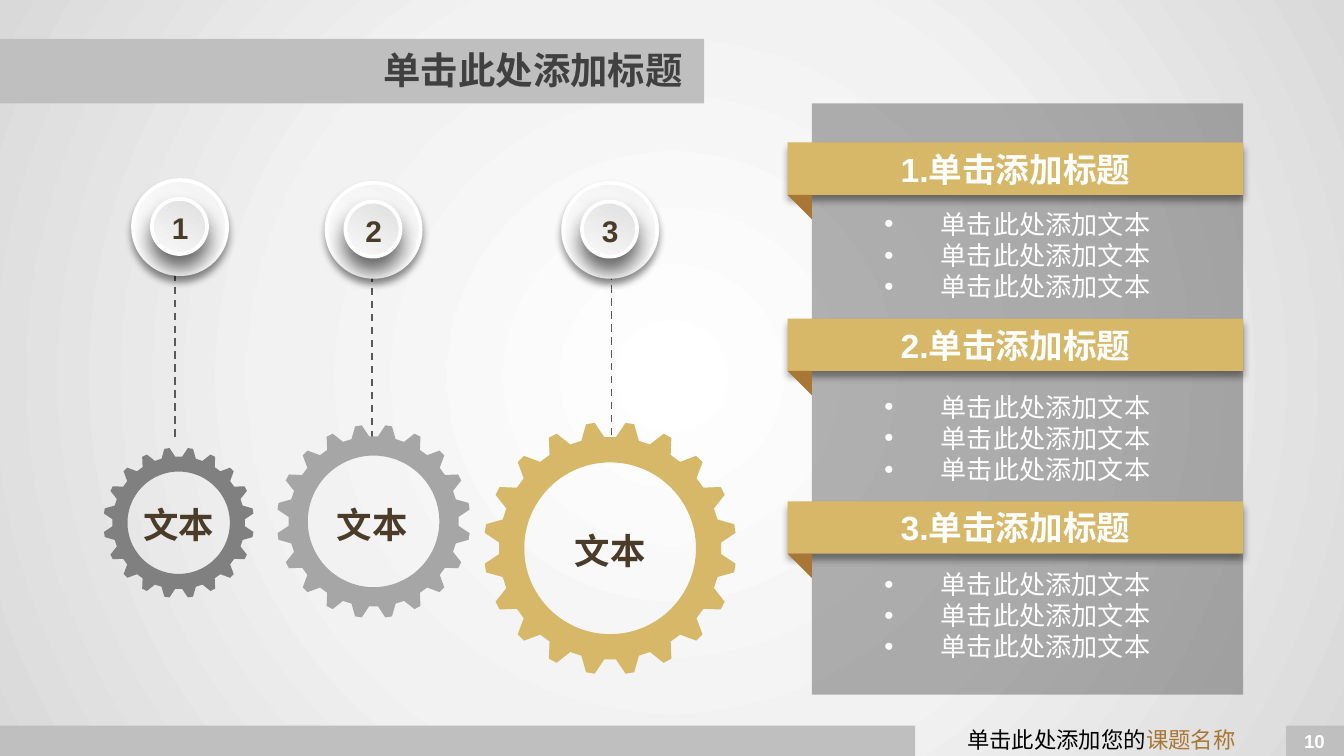
import math
from dataclasses import dataclass

import lxml.etree
import pptx
import pptx.dml.color
import pptx.enum.dml
import pptx.enum.shapes
import pptx.enum.text
import pptx.oxml
import pptx.oxml.ns
import pptx.util

Inches = pptx.util.Inches
RGBColor = pptx.dml.color.RGBColor
Shape = pptx.enum.shapes.MSO_SHAPE
Align = pptx.enum.text.PP_ALIGN
Anchor = pptx.enum.text.MSO_ANCHOR

WHITE = RGBColor(0xFF, 0xFF, 0xFF)
PALE = RGBColor(0xF2, 0xF2, 0xF2)
LIGHT = RGBColor(0xD9, 0xD9, 0xD9)
SILVER = RGBColor(0xBF, 0xBF, 0xBF)
GRAY = RGBColor(0xA6, 0xA6, 0xA6)
STEEL = RGBColor(0x80, 0x80, 0x80)
DASH = RGBColor(0x59, 0x59, 0x59)
CHARCOAL = RGBColor(0x40, 0x40, 0x40)
PANEL = RGBColor(0x26, 0x26, 0x26)
BLACK = RGBColor(0, 0, 0)
GOLD = RGBColor(0xD7, 0xB7, 0x68)
BRONZE = RGBColor(0xA8, 0x76, 0x35)
BROWN = RGBColor(0x4B, 0x3C, 0x29)

TEETH = 20
ROOT_RATIO = 0.88
HOLE_RATIO = 0.68
WIDE_INSETS = (0.13, 0.07)
RADIAL = '<a:path path="circle"><a:fillToRect l="50000" t="50000" r="50000" b="50000"/></a:path>'
DOWNWARD = '<a:lin ang="5400000" scaled="0"/>'


@dataclass
class Gear:
    x: float
    y: float
    radius: float
    color: RGBColor
    label_left: float
    label_top: float


@dataclass
class Badge:
    number: str
    left: float
    top: float
    line_x: float
    line_top: float


@dataclass
class Section:
    heading: str
    top: float
    list_top: float


GEARS = [
    Gear(1.33, 3.89, 0.56, STEEL, 0.86, 3.67),
    Gear(2.78, 3.88, 0.72, GRAY, 2.3, 3.67),
    Gear(4.54, 4.08, 0.94, GOLD, 4.07, 3.87),
]
BADGES = [
    Badge("1", 0.99, 1.34, 1.3, 1.94),
    Badge("2", 2.43, 1.36, 2.77, 1.95),
    Badge("3", 4.19, 1.36, 4.55, 1.93),
]
SECTIONS = [
    Section("1.单击添加标题", 1.06, 1.48),
    Section("2.单击添加标题", 2.37, 2.84),
    Section("3.单击添加标题", 3.73, 4.16),
]


def element(markup: str):
    return pptx.oxml.parse_xml(markup.replace(" ", f" {pptx.oxml.ns.nsdecls('a')} ", 1))


def place(shape, left: float, top: float, width: float, height: float) -> None:
    shape.left, shape.top = Inches(left), Inches(top)
    shape.width, shape.height = Inches(width), Inches(height)


def set_fill(shape, color: RGBColor) -> None:
    shape.shadow.inherit = False
    shape.fill.solid()
    shape.fill.fore_color.rgb = color
    shape.line.fill.background()


def add_shape(slide, kind, left: float, top: float, width: float, height: float, color: RGBColor):
    shape = slide.shapes.add_shape(kind, Inches(left), Inches(top), Inches(width), Inches(height))
    set_fill(shape, color)
    return shape


def set_gradient(shape, stops: list[tuple[int, RGBColor]], direction: str) -> None:
    entries = "".join(
        f'<a:gs pos="{position * 1000}"><a:srgbClr val="{color}"/></a:gs>' for position, color in stops
    )
    gradient = element(f'<a:gradFill rotWithShape="1"><a:gsLst>{entries}</a:gsLst>{direction}</a:gradFill>')
    properties = shape._element.spPr
    properties.replace(properties.find(pptx.oxml.ns.qn("a:solidFill")), gradient)


def set_shadow(shape, alpha: int, blur: int, distance: int) -> None:
    effects = shape._element.spPr.find(pptx.oxml.ns.qn("a:effectLst"))
    effects.append(element(
        f'<a:outerShdw blurRad="{pptx.util.Pt(blur)}" dist="{pptx.util.Pt(distance)}" dir="5400000" '
        f'algn="t" rotWithShape="0"><a:srgbClr val="000000"><a:alpha val="{alpha * 1000}"/>'
        '</a:srgbClr></a:outerShdw>'
    ))


def format_text(frame, size: float, color: RGBColor, bold=False, align=Align.CENTER, font="Arial") -> None:
    for para in frame.paragraphs:
        para.alignment = align
        for span in para.runs:
            span.font.name = font
            span.font.size = pptx.util.Pt(size)
            span.font.bold = bold
            span.font.color.rgb = color


def set_insets(frame, across: float, down: float) -> None:
    frame.margin_left = frame.margin_right = Inches(across)
    frame.margin_top = frame.margin_bottom = Inches(down)


def add_text(slide, text: str, left: float, top: float, width: float, height: float,
             size: float, color: RGBColor, bold=True, wrap=True, align=Align.CENTER, insets=WIDE_INSETS):
    box = slide.shapes.add_textbox(Inches(left), Inches(top), Inches(width), Inches(height))
    frame = box.text_frame
    frame.word_wrap = wrap
    set_insets(frame, *insets)
    frame.text = text
    format_text(frame, size, color, bold, align)
    return box


def ring_point(gear: Gear, radius: float, degrees: float) -> tuple[int, int]:
    angle = math.radians(degrees)
    return Inches(gear.x + radius * math.sin(angle)), Inches(gear.y - radius * math.cos(angle))


def draw_gear(slide, gear: Gear) -> None:
    pitch = 360 / TEETH
    profile = [(-6, ROOT_RATIO), (-2, 1), (2, 1), (6, ROOT_RATIO)]
    rim = [
        ring_point(gear, gear.radius * ratio, (tooth + 0.5) * pitch + offset)
        for tooth in range(TEETH) for offset, ratio in profile
    ]
    hole = [ring_point(gear, gear.radius * HOLE_RATIO, -degrees) for degrees in range(0, 360, 4)]
    builder = slide.shapes.build_freeform(*rim[0])
    builder.add_line_segments(rim[1:], close=True)
    builder.move_to(*hole[0])
    builder.add_line_segments(hole[1:], close=True)
    set_fill(builder.convert_to_shape(), gear.color)
    add_text(slide, "文本", gear.label_left, gear.label_top, 0.94, 0.45, 19, BROWN)


def draw_stem(slide, badge: Badge) -> None:
    x = Inches(badge.line_x)
    stem = slide.shapes.add_connector(
        pptx.enum.shapes.MSO_CONNECTOR.STRAIGHT, x, Inches(badge.line_top), x, Inches(badge.line_top + 1.35)
    )
    stem.line.color.rgb = DASH
    stem.line.width = pptx.util.Pt(1)
    stem.line.dash_style = pptx.enum.dml.MSO_LINE.DASH
    lxml.etree.SubElement(stem._element.spPr, pptx.oxml.ns.qn("a:effectLst"))


def draw_badge(slide, badge: Badge) -> None:
    for inset, size, start, shadow in ((0, 0.7, PALE, (40, 4, 3)), (0.14, 0.41, LIGHT, (60, 11, 7))):
        disc = add_shape(slide, Shape.OVAL, badge.left + inset, badge.top + inset, size, size, start)
        disc.rotation = 25.7
        disc.line.color.rgb = WHITE
        disc.line.width = pptx.util.Pt(2)
        set_gradient(disc, [(0, start), (100, WHITE)], DOWNWARD)
        set_shadow(disc, *shadow)
    add_text(slide, badge.number, badge.left + 0.19, badge.top + 0.17, 0.33, 0.37, 16, BROWN,
             wrap=False, align=Align.LEFT, insets=(0.1, 0.05))


def draw_section(slide, section: Section, body) -> None:
    banner = add_shape(slide, Shape.RECTANGLE, 5.86, section.top, 3.39, 0.39, GOLD)
    set_shadow(banner, 40, 4, 3)
    banner.text_frame.text = section.heading
    banner.text_frame.vertical_anchor = Anchor.MIDDLE
    format_text(banner.text_frame, 18, WHITE, True)
    fold = add_shape(slide, Shape.RIGHT_TRIANGLE, 5.86, section.top + 0.39, 0.18, 0.18, BRONZE)
    fold.rotation = 180

    place(body, 6.32, section.list_top, 2.5, 0.84)
    slide.shapes._spTree.append(body._element)
    frame = body.text_frame
    frame.text = "\n".join(["单击此处添加文本"] * 3)
    frame.auto_size = pptx.enum.text.MSO_AUTO_SIZE.NONE
    frame.vertical_anchor = Anchor.TOP
    set_insets(frame, *WIDE_INSETS)
    for para in frame.paragraphs:
        properties = para._p.get_or_add_pPr()
        properties.set("marL", str(Inches(0.42)))
        properties.set("indent", str(Inches(-0.42)))
        properties.append(element('<a:buFont typeface="Arial"/>'))
        properties.append(element('<a:buChar char="•"/>'))
        para.space_before = pptx.util.Pt(0)
        para.line_spacing = pptx.util.Pt(16.7)
    format_text(frame, 14, WHITE, font="Noto Sans CJK SC")


def main() -> None:
    deck = pptx.Presentation()
    deck.slide_width = Inches(10)
    deck.slide_height = deck.slide_width * 9 // 16
    page = deck.slides.add_slide(deck.slide_layouts[4])
    title, *bodies = page.placeholders

    backdrop = add_shape(page, Shape.RECTANGLE, 0, -0.03, 10, 5.66, WHITE)
    set_gradient(backdrop, [(0, WHITE), (51, PALE), (100, LIGHT)], RADIAL)
    for bar in ((0, 0.29, 5.24, 0.48), (0, 5.4, 6.81, 0.23), (9.57, 5.4, 0.43, 0.23)):
        add_shape(page, Shape.RECTANGLE, *bar, SILVER)
    add_text(page, "10", 9.56, 5.36, 0.44, 0.3, 10, WHITE, wrap=False)
    footer = add_text(page, "单击此处添加您的", 6.82, 5.33, 2.75, 0.34, 12, BLACK, bold=False)
    footer.text_frame.paragraphs[0].add_run().text = "课题名称"
    format_text(footer.text_frame, 12, BLACK)
    footer.text_frame.paragraphs[0].runs[1].font.color.rgb = BRONZE

    place(title, 0.75, 0.24, 4.43, 0.55)
    page.shapes._spTree.append(title._element)
    title.text_frame.text = "单击此处添加标题"
    title.text_frame.vertical_anchor = Anchor.MIDDLE
    format_text(title.text_frame, 20, CHARCOAL, True, Align.RIGHT)

    for badge in BADGES:
        draw_stem(page, badge)
    panel = add_shape(page, Shape.RECTANGLE, 6.04, 0.77, 3.21, 4.4, PANEL)
    tint = panel._element.spPr.find(pptx.oxml.ns.qn("a:solidFill"))[0]
    tint.append(element('<a:alpha val="35000"/>'))
    for section, body in zip(SECTIONS, bodies):
        draw_section(page, section, body)
    for spare in bodies[len(SECTIONS):]:
        spare._element.getparent().remove(spare._element)
    for gear in GEARS:
        draw_gear(page, gear)
    for badge in BADGES:
        draw_badge(page, badge)
    deck.save("out.pptx")


if __name__ == "__main__":
    main()
